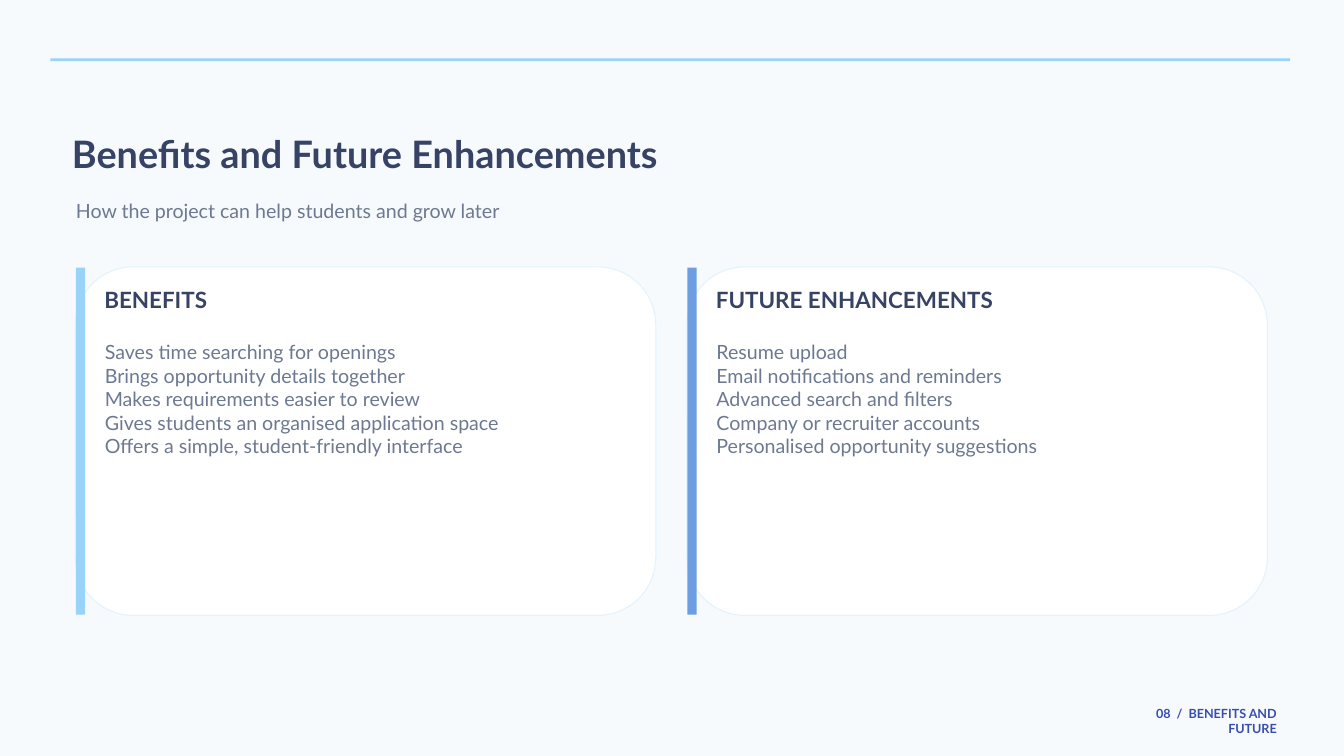
from pptx import Presentation
from pptx import util as u
from pptx.dml.color import RGBColor
from pptx.enum import shapes, text

WIDE, HIGH = 20, 11.25
FONT = "Lato"
PALE = RGBColor(0xF6, 0xFA, 0xFD)
WHITE = RGBColor(0xFF, 0xFF, 0xFF)
SKY = RGBColor(0x99, 0xD3, 0xF7)
BLUE = RGBColor(0x6D, 0x9E, 0xE1)
EDGE = RGBColor(0xE2, 0xF3, 0xFD)
NAVY = RGBColor(0x37, 0x43, 0x64)
GREY = RGBColor(0x6D, 0x79, 0x91)
INDIGO = RGBColor(0x39, 0x4D, 0xAE)

CARDS = [
    ("BENEFITS", SKY, [
        "Saves time searching for openings",
        "Brings opportunity details together",
        "Makes requirements easier to review",
        "Gives students an organised application space",
        "Offers a simple, student-friendly interface",
    ]),
    ("FUTURE ENHANCEMENTS", BLUE, [
        "Resume upload",
        "Email notifications and reminders",
        "Advanced search and filters",
        "Company or recruiter accounts",
        "Personalised opportunity suggestions",
    ]),
]


def place(box):
    return [u.Inches(size) for size in box]


def part(box, left, top, wide, high):
    x, y, w, h = box
    return x + left * w, y + top * h, wide * w, high * h


def style(frame, words, size, color, bold=False, align=text.PP_ALIGN.LEFT):
    frame.text = words
    frame.word_wrap = True
    frame.auto_size = text.MSO_AUTO_SIZE.NONE
    frame.vertical_anchor = text.MSO_ANCHOR.TOP
    frame.margin_left = frame.margin_right = 0
    frame.margin_top = frame.margin_bottom = 0
    for para in frame.paragraphs:
        para.alignment = align
        para.line_spacing = u.Pt(size * 1.2)
        para.space_before = u.Pt(0)
        for run in para.runs:
            font = run.font
            font.name, font.size, font.bold = FONT, u.Pt(size), bold
            font.color.rgb = color


def write(slide, box, *args, **opts):
    style(slide.shapes.add_textbox(*place(box)).text_frame, *args, **opts)


def block(slide, box, fill, kind=shapes.MSO_SHAPE.RECTANGLE, edge=None):
    shape = slide.shapes.add_shape(kind, *place(box))
    shape.shadow.inherit = False
    shape.fill.solid()
    shape.fill.fore_color.rgb = fill
    if edge is None:
        shape.line.fill.background()
    else:
        shape.line.color.rgb = edge
        shape.line.width = u.Pt(1.13)


def header(slide, box):
    block(slide, part(box, 0, 0, 1, 0.016), SKY)
    title = slide.shapes.title
    title.left, title.top, title.width, title.height = place(
        part(box, 0.0173, 0.416, 0.954, 0.257))
    style(title.text_frame, "Benefits and Future Enhancements", 40.5, NAVY, bold=True)
    write(slide, part(box, 0.0206, 0.813, 0.946, 0.187),
          "How the project can help students and grow later", 21, GREY)


def card(slide, box, head, color, items):
    block(slide, box, WHITE, shapes.MSO_SHAPE.ROUNDED_RECTANGLE, EDGE)
    block(slide, part(box, 0.001, 0.002, 0.016, 0.996), color)
    write(slide, part(box, 0.05, 0.054, 0.9, 0.11), head, 24, NAVY, bold=True)
    write(slide, part(box, 0.051, 0.21, 0.9, 0.755), "\n".join(items), 21, GREY)


def cards(slide, box):
    wide = 0.487
    step = (1 - wide) / (len(CARDS) - 1)
    for col, data in enumerate(CARDS):
        card(slide, part(box, col * step, 0, wide, 1), *data)


def footer(slide, box):
    write(slide, box, "08  /  BENEFITS AND FUTURE", 13.5, INDIGO,
          bold=True, align=text.PP_ALIGN.RIGHT)


def main():
    deck = Presentation()
    deck.slide_width, deck.slide_height = u.Inches(WIDE), u.Inches(HIGH)
    slide = deck.slides.add_slide(deck.slide_layouts[5])
    slide.background.fill.solid()
    slide.background.fill.fore_color.rgb = PALE
    page = (0, 0, WIDE, HIGH)
    header(slide, part(page, 0.0375, 0.0773, 0.9225, 0.2285))
    cards(slide, part(page, 0.056, 0.353, 0.887, 0.461))
    footer(slide, part(page, 0.8285, 0.934, 0.1215, 0.02))
    deck.save("out.pptx")


if __name__ == "__main__":
    main()
